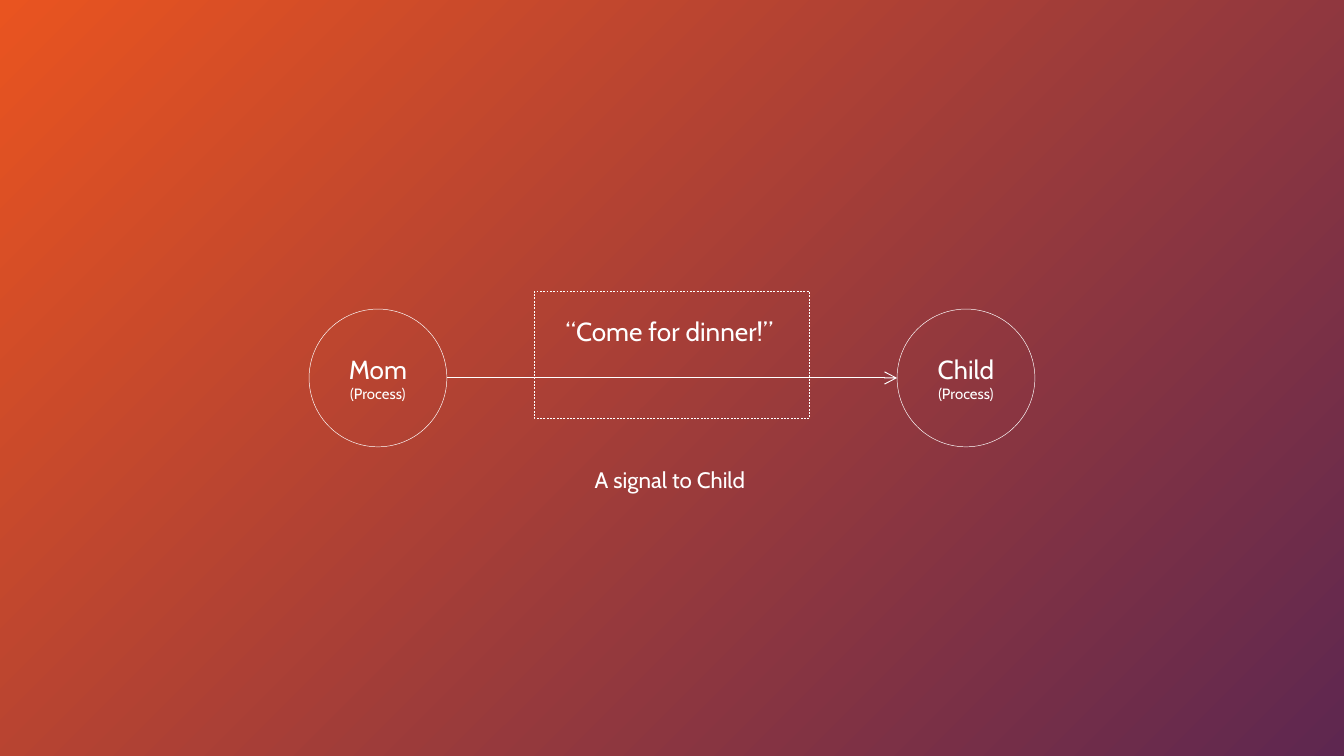
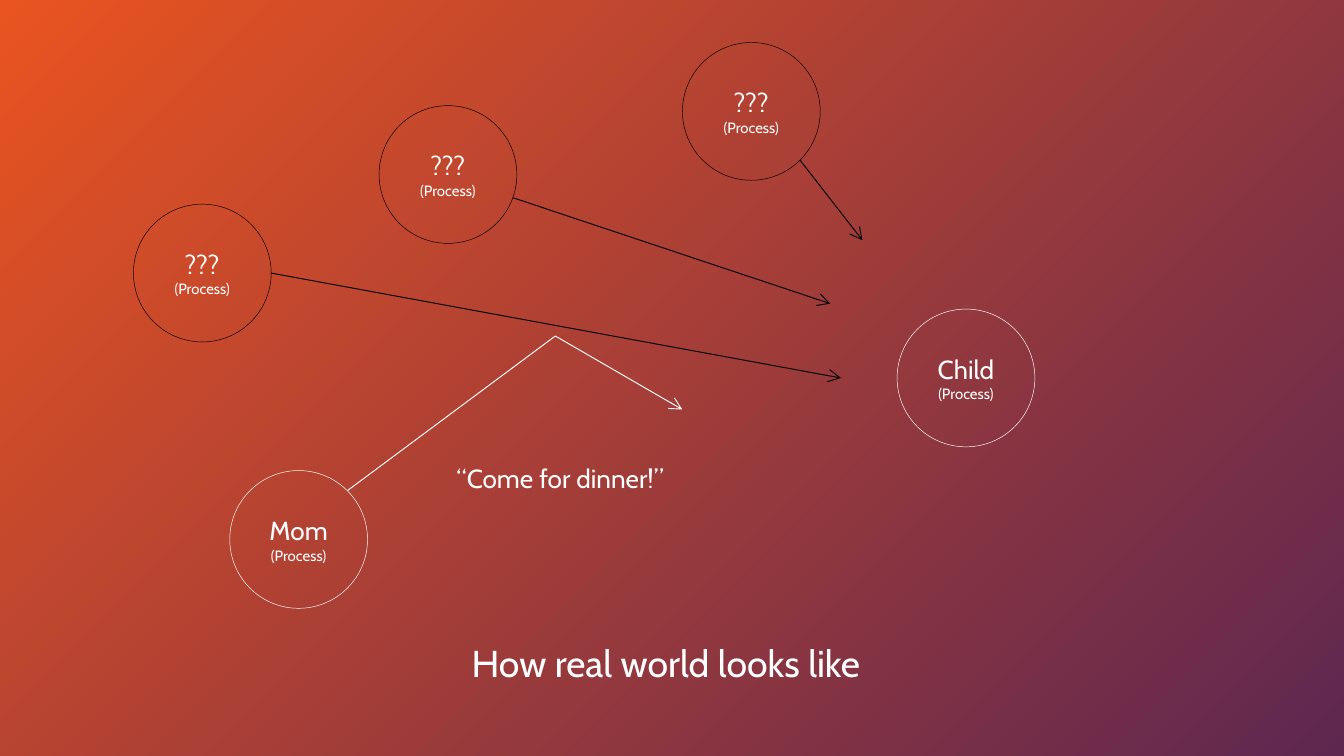
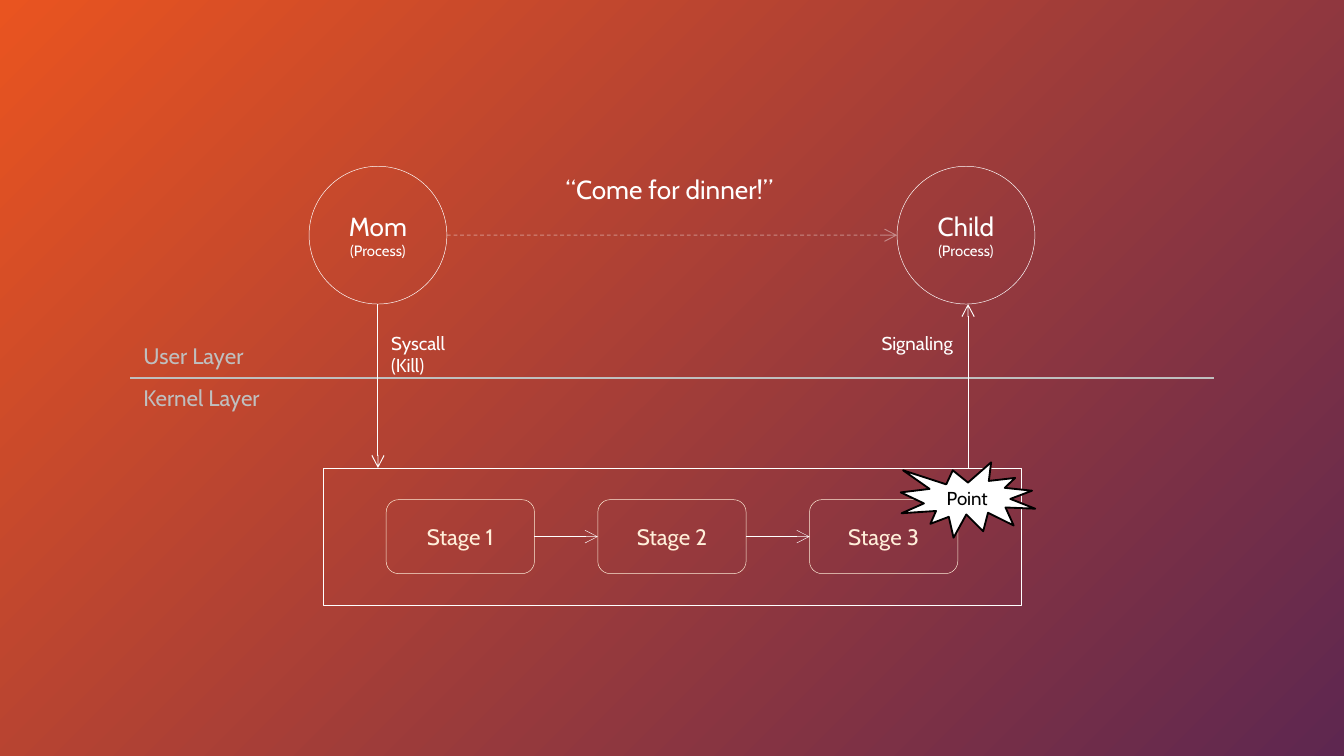
from dataclasses import dataclass
from math import sqrt

from lxml import etree
from pptx import Presentation
from pptx import util as u
from pptx.dml.color import RGBColor
from pptx.enum import dml, shapes, text
from pptx.oxml import ns
from pptx.shapes.autoshape import Shape
from pptx.shapes.connector import Connector
from pptx.slide import Slide

SLIDE_WIDTH, SLIDE_HEIGHT = 720, 405
FONT = "Cabin"
WHITE, BLACK, GRAY, CREAM = "FFFFFF", "000000", "BFBFBF", "FFEED9"
ORANGE, PURPLE = "E95420", "5E2750"
RADIUS = 36.9
DIAGONAL = RADIUS / sqrt(2)
MIDDLE = 202.5
MOM_X, CHILD_X = 202.5, 517.5
MESSAGE = "“Come for dinner!”"


@dataclass(frozen=True)
class Process:
    name: str
    x: float
    y: float
    line: str = WHITE


@dataclass(frozen=True)
class Label:
    words: str
    left: float
    top: float
    width: float
    size: float
    color: str = WHITE
    wrap: bool = False


@dataclass(frozen=True)
class Link:
    start: tuple[float, float]
    end: tuple[float, float]
    color: str = WHITE
    weight: float = 0.5
    arrow: bool = True
    dashed: bool = False
    opacity: int = 100


@dataclass(frozen=True)
class Box:
    kind: shapes.MSO_SHAPE
    left: float
    top: float
    width: float
    height: float
    line: str = WHITE
    weight: float = 0.25
    fill: str | None = None
    dashed: bool = False


def rgb(color: str) -> RGBColor:
    return RGBColor.from_string(color)


def add_slide(presentation: Presentation) -> Slide:
    slide = presentation.slides.add_slide(presentation.slide_layouts[6])
    fill = slide.background.fill
    fill.gradient()
    fill.gradient_angle = 315
    for stop, color in zip(fill.gradient_stops, (ORANGE, PURPLE)):
        stop.color.rgb = rgb(color)
    return slide


def add_box(slide: Slide, box: Box) -> Shape:
    shape = slide.shapes.add_shape(
        box.kind, u.Pt(box.left), u.Pt(box.top), u.Pt(box.width), u.Pt(box.height)
    )
    shape.shadow.inherit = False
    if box.fill:
        shape.fill.solid()
        shape.fill.fore_color.rgb = rgb(box.fill)
    else:
        shape.fill.background()
    shape.line.color.rgb = rgb(box.line)
    shape.line.width = u.Pt(box.weight)
    if box.dashed:
        shape.line.dash_style = dml.MSO_LINE.DASH
    return shape


def write_centered(shape: Shape, lines: list[tuple[str, float]], color: str) -> None:
    frame = shape.text_frame
    frame.margin_left = frame.margin_right = 0
    frame.vertical_anchor = text.MSO_ANCHOR.MIDDLE
    frame.text = "\n".join(words for words, _ in lines)
    for paragraph, (_, size) in zip(frame.paragraphs, lines):
        paragraph.alignment = text.PP_ALIGN.CENTER
        paragraph.font.name = FONT
        paragraph.font.size = u.Pt(size)
        paragraph.font.color.rgb = rgb(color)


def add_process(slide: Slide, process: Process) -> None:
    circle = add_box(
        slide,
        Box(
            shapes.MSO_SHAPE.OVAL,
            process.x - RADIUS,
            process.y - RADIUS,
            2 * RADIUS,
            2 * RADIUS,
            process.line,
        ),
    )
    write_centered(circle, [(process.name, 14), ("(Process)", 8)], WHITE)


def add_label(slide: Slide, label: Label) -> None:
    height = 1.2 * label.size + 7.5
    shape = slide.shapes.add_textbox(
        u.Pt(label.left), u.Pt(label.top), u.Pt(label.width), u.Pt(height)
    )
    frame = shape.text_frame
    frame.word_wrap = label.wrap
    frame.auto_size = text.MSO_AUTO_SIZE.SHAPE_TO_FIT_TEXT
    paragraph = frame.paragraphs[0]
    paragraph.text = label.words
    paragraph.font.name = FONT
    paragraph.font.size = u.Pt(label.size)
    paragraph.font.color.rgb = rgb(label.color)


def add_link(slide: Slide, link: Link) -> Connector:
    connector = slide.shapes.add_connector(
        shapes.MSO_CONNECTOR.STRAIGHT, *(u.Pt(value) for value in link.start + link.end)
    )
    connector.line.color.rgb = rgb(link.color)
    connector.line.width = u.Pt(link.weight)
    if link.dashed:
        connector.line.dash_style = dml.MSO_LINE.DASH
    outline = connector.get_or_add_ln()
    if link.opacity < 100:
        color = outline.find(".//" + ns.qn("a:srgbClr"))
        etree.SubElement(color, ns.qn("a:alpha"), val=str(link.opacity * 1000))
    if link.arrow:
        etree.SubElement(outline, ns.qn("a:tailEnd"), type="arrow")
    etree.SubElement(connector.element.spPr, ns.qn("a:effectLst"))
    return connector


def build_signal(slide: Slide) -> None:
    add_process(slide, Process("Mom", MOM_X, MIDDLE))
    add_process(slide, Process("Child", CHILD_X, MIDDLE))
    add_link(slide, Link((MOM_X + RADIUS, MIDDLE), (CHILD_X - RADIUS, MIDDLE)))
    add_label(slide, Label(MESSAGE, 296, 165.6, 128, 14))
    add_box(
        slide,
        Box(shapes.MSO_SHAPE.RECTANGLE, 286.3, 156.2, 147.4, 68, dashed=True),
    )
    add_label(slide, Label("A signal to Child", 311.5, 246.2, 97, 12))


def build_real_world(slide: Slide) -> None:
    mom = Process("Mom", 160, 289)
    left = Process("???", 108.4, 146.3, BLACK)
    center = Process("???", 240, 93.5, BLACK)
    right = Process("???", 402.5, 59.7, BLACK)
    for process in (mom, Process("Child", CHILD_X, MIDDLE), left, center, right):
        add_process(slide, process)

    bend = (297.5, 180)
    for link in (
        Link((mom.x + DIAGONAL, mom.y - DIAGONAL), bend, arrow=False),
        Link(bend, (365.5, 219.4)),
        Link((left.x + RADIUS, left.y), (450.5, MIDDLE), BLACK),
        Link((275, 106), (444.8, 162.7), BLACK),
        Link((right.x + DIAGONAL, right.y + DIAGONAL), (462, 128.7), BLACK),
    ):
        add_link(slide, link)

    add_label(slide, Label(MESSAGE, 237.5, 244, 128, 14))
    add_label(slide, Label("How real world looks like", 245.5, 339.3, 229, 20))


def build_layers(slide: Slide) -> None:
    process_y = 126
    process_bottom = process_y + RADIUS
    panel_top = 250.7
    signal_x = 518.6
    add_process(slide, Process("Mom", MOM_X, process_y))
    add_process(slide, Process("Child", CHILD_X, process_y))
    for link in (
        Link(
            (MOM_X + RADIUS, process_y),
            (CHILD_X - RADIUS, process_y),
            dashed=True,
            opacity=40,
        ),
        Link((69.8, MIDDLE), (650.2, MIDDLE), GRAY, 0.75, arrow=False),
        Link((MOM_X, process_bottom), (MOM_X, panel_top)),
        Link((signal_x, panel_top), (signal_x, process_bottom)),
    ):
        add_link(slide, link)

    for label in (
        Label(MESSAGE, 296, 89.3, 128, 14),
        Label("User Layer", 69.8, 180, 72, 12, GRAY),
        Label("Kernel Layer", 69.8, MIDDLE, 83, 12, GRAY),
        Label("Syscall (Kill)", MOM_X, 174.2, 60, 10, wrap=True),
        Label("Signaling", 465.2, 174.2, 53.4, 10),
    ):
        add_label(slide, label)

    add_box(slide, Box(shapes.MSO_SHAPE.RECTANGLE, 173.1, panel_top, 373.8, 73.6))
    stage_width, stage_step = 79.4, 113.4
    first_left = (SLIDE_WIDTH - stage_width) / 2 - stage_step
    stages = []
    for index in range(3):
        stage = add_box(
            slide,
            Box(
                shapes.MSO_SHAPE.ROUNDED_RECTANGLE,
                first_left + index * stage_step,
                267.7,
                stage_width,
                39.6,
                CREAM,
            ),
        )
        write_centered(stage, [(f"Stage {index + 1}", 12)], CREAM)
        stages.append(stage)
    for before, after in zip(stages, stages[1:]):
        connector = add_link(slide, Link((0, 0), (0, 0), weight=0.25))
        connector.begin_connect(before, 3)
        connector.end_connect(after, 1)

    burst = add_box(
        slide,
        Box(shapes.MSO_SHAPE.EXPLOSION1, 482.6, 247.7, 72, 40.4, BLACK, 1, WHITE),
    )
    write_centered(burst, [("Point", 10)], BLACK)


def main() -> None:
    presentation = Presentation()
    presentation.slide_width = u.Pt(SLIDE_WIDTH)
    presentation.slide_height = u.Pt(SLIDE_HEIGHT)
    for build in (build_signal, build_real_world, build_layers):
        build(add_slide(presentation))
    presentation.save("out.pptx")


if __name__ == "__main__":
    main()
